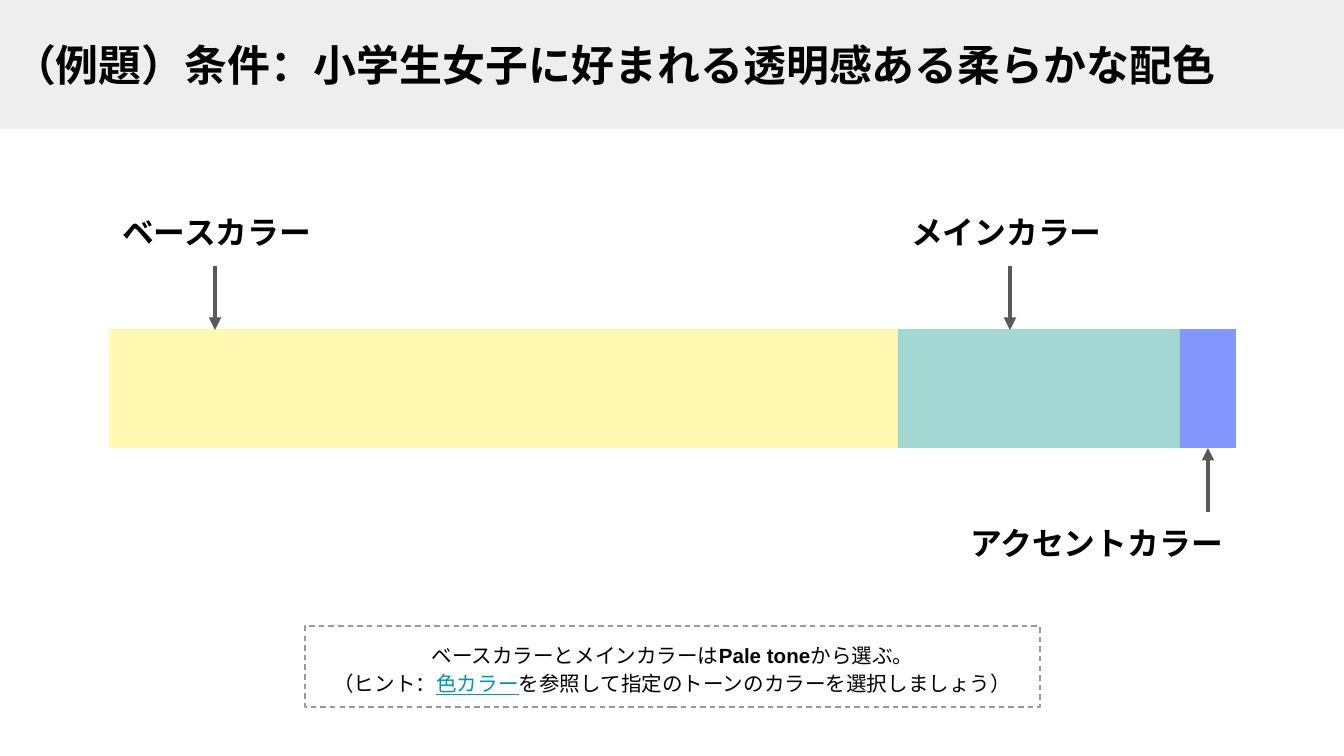
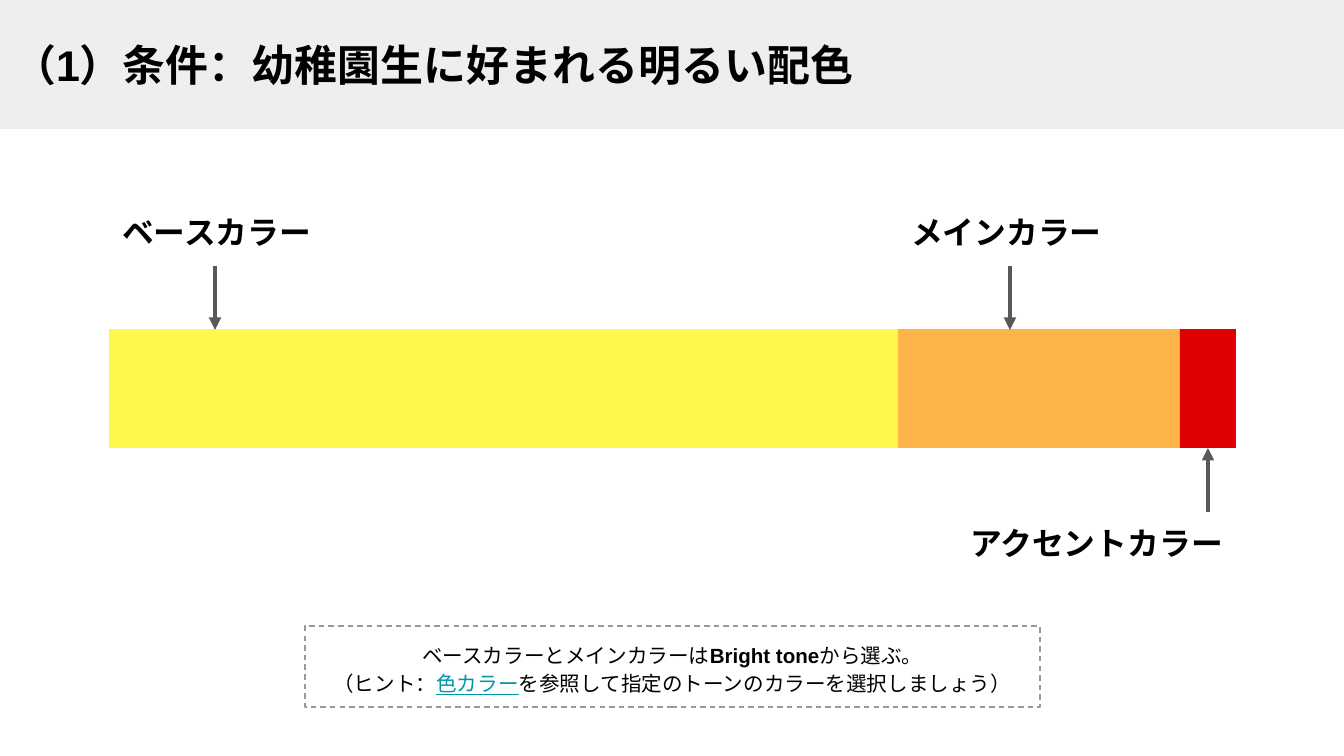
from dataclasses import dataclass

import pptx
import pptx.util
import pptx.dml.color
import pptx.enum.dml
import pptx.enum.shapes
import pptx.enum.text
import pptx.oxml
import pptx.oxml.ns

ALIGN = pptx.enum.text.PP_ALIGN
FIT = pptx.enum.text.MSO_AUTO_SIZE
RECT = pptx.enum.shapes.MSO_SHAPE.RECTANGLE


@dataclass(frozen=True)
class Theme:
    face: str = "Arial"
    text: str = "000000"
    band: str = "EEEEEE"
    arrow: str = "595959"
    frame: str = "999999"
    link: str = "0097A7"
    head: float = 23
    label: float = 17
    note: float = 11


THEME = Theme()

# Shared geometry in px
WIDE, HIGH = 1344, 756
BAND = 129
LEFT, TOP, SPAN, DEPTH = 109, 329, 1127, 119
SHARES = (70, 25, 5)
LABEL_TOP, LABEL_H = 200, 66
INSET = 13

# Title, tone name, and base, main and accent colours
SLIDES = (
    ("（例題）条件：小学生女子に好まれる透明感ある柔らかな配色",
     "Pale tone", ("FFF9B1", "A2D7D4", "8496FF")),
    ("（1）条件：幼稚園生に好まれる明るい配色",
     "Bright tone", ("FFF74C", "FDB448", "DF0101")),
)


def px(num):
    return pptx.util.Emu(round(num * 914400 / 134.4))


def rgb(code):
    return pptx.dml.color.RGBColor.from_string(code)


def style(font, size, bold=False):
    font.name = THEME.face
    font.size = pptx.util.Pt(size)
    font.bold = bold
    font.color.rgb = rgb(THEME.text)


def setup(frame, fit):
    frame.word_wrap = True
    frame.auto_size = fit
    frame.margin_left = frame.margin_right = px(INSET)
    frame.margin_top = frame.margin_bottom = px(INSET)


# Title band
def add_title(slide, text):
    title = slide.shapes.title
    title.left, title.top = px(0), px(0)
    title.width, title.height = px(WIDE), px(BAND)
    title.fill.solid()
    title.fill.fore_color.rgb = rgb(THEME.band)
    frame = title.text_frame
    setup(frame, FIT.NONE)
    frame.vertical_anchor = pptx.enum.text.MSO_ANCHOR.MIDDLE
    para = frame.paragraphs[0]
    para.text = text
    para.alignment = ALIGN.LEFT
    style(para.font, THEME.head, True)


# Plain rectangle, filled or clear
def add_rect(slide, left, top, width, height, fill=None):
    rect = slide.shapes.add_shape(RECT, px(left), px(top), px(width), px(height))
    rect.shadow.inherit = False
    rect.line.fill.background()
    if fill:
        rect.fill.solid()
        rect.fill.fore_color.rgb = rgb(fill)
    else:
        rect.fill.background()
    return rect


# Bar split by share
def add_bar(slide, fills):
    parts, left = [], LEFT
    for share, fill in zip(SHARES, fills):
        width = round(SPAN * share / sum(SHARES))
        parts.append(add_rect(slide, left, TOP, width, DEPTH, fill))
        left += width
    return parts


def add_label(slide, text, left, top, width, align=ALIGN.LEFT):
    box = slide.shapes.add_textbox(px(left), px(top), px(width), px(LABEL_H))
    setup(box.text_frame, FIT.SHAPE_TO_FIT_TEXT)
    para = box.text_frame.paragraphs[0]
    para.text = text
    para.alignment = align
    style(para.font, THEME.label, True)
    return box


def add_arrow(slide, x, start, end):
    arrow = slide.shapes.add_connector(
        pptx.enum.shapes.MSO_CONNECTOR.STRAIGHT, px(x), px(start), px(x), px(end))
    arrow.line.color.rgb = rgb(THEME.arrow)
    arrow.line.width = pptx.util.Pt(2.25)
    tip = pptx.oxml.parse_xml(
        f'<a:tailEnd {pptx.oxml.ns.nsdecls("a")} type="triangle"/>')
    arrow.line._get_or_add_ln().append(tip)
    arrow._element.spPr.append(pptx.oxml.parse_xml(
        f'<a:effectLst {pptx.oxml.ns.nsdecls("a")}/>'))
    return arrow


# Dashed note with a bold tone and a link-styled word
def add_note(slide, tone):
    note = add_rect(slide, 305, 626, 735, 81)
    note.line.color.rgb = rgb(THEME.frame)
    note.line.width = pptx.util.Pt(0.75)
    note.line.dash_style = pptx.enum.dml.MSO_LINE.DASH
    frame = note.text_frame
    setup(frame, FIT.SHAPE_TO_FIT_TEXT)
    frame.vertical_anchor = pptx.enum.text.MSO_ANCHOR.TOP
    lines = (
        ("ベースカラーとメインカラーは", tone, "から選ぶ。"),
        ("（ヒント：", "色カラー", "を参照して指定のトーンのカラーを選択しましょう）"),
    )
    marks = []
    for i, words in enumerate(lines):
        para = frame.add_paragraph() if i else frame.paragraphs[0]
        para.alignment = ALIGN.CENTER
        para.line_spacing = 1.15
        for word in words:
            run = para.add_run()
            run.text = word
            style(run.font, THEME.note)
        marks.append(para.runs[1].font)
    strong, link = marks
    strong.bold = True
    link.underline = True
    link.color.rgb = rgb(THEME.link)


def add_page(deck, title, tone, fills):
    slide = deck.slides.add_slide(deck.slide_layouts[5])
    add_title(slide, title)
    base, main_part, accent = add_bar(slide, fills)

    # Labels
    split = LEFT + round(SPAN * SHARES[0] / sum(SHARES))
    add_label(slide, "ベースカラー", LEFT, LABEL_TOP, 224)
    name = add_label(slide, "メインカラー", split, LABEL_TOP, 224)
    add_label(slide, "アクセントカラー", LEFT + SPAN - 290, 511, 290, ALIGN.RIGHT)

    # Arrows
    start = LABEL_TOP + LABEL_H
    add_arrow(slide, 215, start, TOP + 1)
    add_arrow(slide, split + 112, start, TOP + 1).begin_connect(name, 2)
    add_arrow(slide, 1208, 512, TOP + DEPTH).end_connect(accent, 2)

    add_note(slide, tone)


def main():
    deck = pptx.Presentation()
    deck.slide_width, deck.slide_height = px(WIDE), px(HIGH)
    for page in SLIDES:
        add_page(deck, *page)
    deck.save("out.pptx")


if __name__ == "__main__":
    main()
